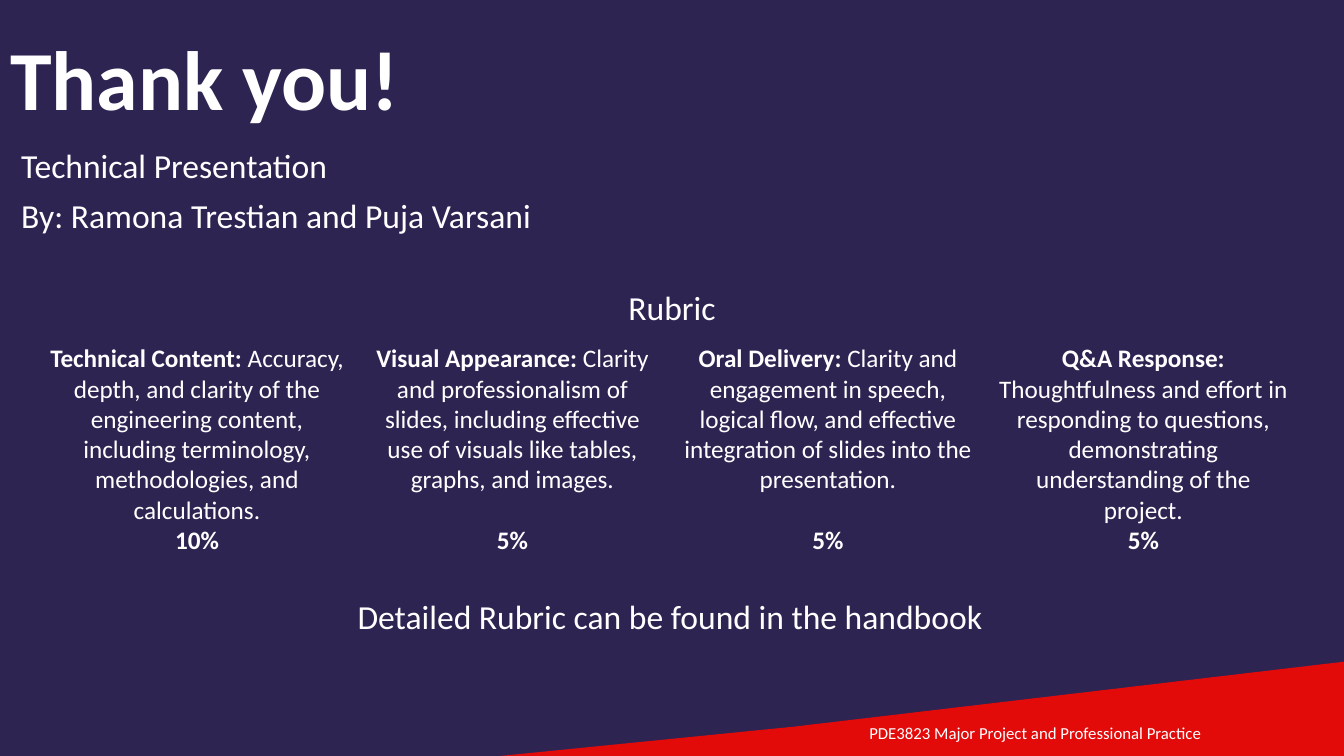
import dataclasses

import pptx
import pptx.dml.color
import pptx.enum.text
import pptx.util

Cm = pptx.util.Cm
Pt = pptx.util.Pt
Align = pptx.enum.text.PP_ALIGN
Anchor = pptx.enum.text.MSO_ANCHOR

COLOURS = {"background": "2E2452", "wedge": "E30A0A", "text": "FFFFFF"}
FONT = "Calibri"
SLIDE_WIDTH, SLIDE_HEIGHT = 33.87, 19.05
COLUMN_LEFT, COLUMN_TOP, COLUMN_WIDTH, COLUMN_HEIGHT = 0.99, 8.51, 7.95, 5.5
LINE_SPACING = {"line_spacing": 0.9, "space_before": Pt(10)}
WEDGE_POINTS = [(20.02, 18.31), (34.16, 16.64), (34.16, 19.2), (11.1, 19.2)]


@dataclasses.dataclass
class Box:
    left: float
    top: float
    width: float
    height: float


@dataclasses.dataclass
class Caption:
    text: str
    box: Box
    size: int
    alignment: Align


@dataclasses.dataclass
class Criterion:
    heading: str
    description: str
    weight: str
    weight_gap: int = 0  # points above the weight, to line the weights up


CAPTIONS = [
    Caption("Rubric", Box(0, 7.21, SLIDE_WIDTH, 1.24), 24, Align.CENTER),
    Caption("Detailed Rubric can be found in the handbook",
            Box(-0.05, 15.01, SLIDE_WIDTH, 1.24), 24, Align.CENTER),
    Caption("PDE3823 Major Project and Professional Practice",
            Box(0, 18.14, 30.53, 0.9), 12, Align.RIGHT),
]

CRITERIA = [
    Criterion("Technical Content: ",
              "Accuracy, depth, and clarity of the engineering content, including "
              "terminology, methodologies, and calculations.", "10%"),
    Criterion("Visual Appearance: ",
              "Clarity and professionalism of slides, including effective use of "
              "visuals like tables, graphs, and images.", "5%", 22),
    Criterion("Oral Delivery: ",
              "Clarity and engagement in speech, logical flow, and effective "
              "integration of slides into the presentation.", "5%", 22),
    Criterion("Q&A Response: ",
              "Thoughtfulness and effort in responding to questions, demonstrating "
              "understanding of the project.", "5%"),
]


def colour(name: str) -> pptx.dml.color.RGBColor:
    return pptx.dml.color.RGBColor.from_string(COLOURS[name])


def apply_format(target, values: dict) -> None:
    for name, value in values.items():
        setattr(target, name, value)


def place(shape, box: Box) -> None:
    apply_format(shape, {name: Cm(value) for name, value in dataclasses.asdict(box).items()})


def prepare_frame(shape, anchor: Anchor = Anchor.TOP):
    frame = shape.text_frame
    apply_format(frame, {"word_wrap": True, "vertical_anchor": anchor,
                         "auto_size": pptx.enum.text.MSO_AUTO_SIZE.NONE})
    return frame


def add_run(paragraph, text: str, size: int, bold: bool = False) -> None:
    run = paragraph.add_run()
    run.text = text
    apply_format(run.font, {"name": FONT, "size": Pt(size), "bold": bold})
    run.font.color.rgb = colour("text")


def add_text_box(slide, box: Box):
    shape = slide.shapes.add_textbox(0, 0, 0, 0)
    place(shape, box)
    return prepare_frame(shape)


def add_wedge(slide) -> None:
    points = [(Cm(x), Cm(y)) for x, y in WEDGE_POINTS]
    builder = slide.shapes.build_freeform(*points[0])
    builder.add_line_segments(points[1:], close=True)
    shape = builder.convert_to_shape()
    shape.shadow.inherit = False
    shape.fill.solid()
    shape.fill.fore_color.rgb = colour("wedge")
    shape.line.fill.background()


def fill_title(slide) -> None:
    title = slide.shapes.title
    place(title, Box(0, 0, 25.4, 3.38))
    paragraph = prepare_frame(title, Anchor.BOTTOM).paragraphs[0]
    apply_format(paragraph, {"alignment": Align.LEFT, "line_spacing": 0.9})
    add_run(paragraph, "Thank you!", 60, bold=True)


def fill_subtitle(slide) -> None:
    subtitle = slide.placeholders[1]
    place(subtitle, Box(0.28, 3.63, 33.2, 3.63))
    frame = prepare_frame(subtitle)
    lines = ["Technical Presentation", "By: Ramona Trestian and Puja Varsani"]
    for index, line in enumerate(lines):
        paragraph = frame.add_paragraph() if index else frame.paragraphs[0]
        apply_format(paragraph, {"alignment": Align.LEFT, **LINE_SPACING})
        add_run(paragraph, line, 24)


def add_criterion(slide, criterion: Criterion, column: int) -> None:
    left = COLUMN_LEFT + column * COLUMN_WIDTH
    frame = add_text_box(slide, Box(left, COLUMN_TOP, COLUMN_WIDTH, COLUMN_HEIGHT))
    paragraph = frame.paragraphs[0]
    paragraph.alignment = Align.CENTER
    add_run(paragraph, criterion.heading, 18, bold=True)
    add_run(paragraph, criterion.description, 18)
    weight = frame.add_paragraph()
    apply_format(weight, {"alignment": Align.CENTER,
                          "space_before": Pt(criterion.weight_gap)})
    add_run(weight, criterion.weight, 18, bold=True)


def add_caption(slide, caption: Caption) -> None:
    paragraph = add_text_box(slide, caption.box).paragraphs[0]
    apply_format(paragraph, {"alignment": caption.alignment, **LINE_SPACING})
    add_run(paragraph, caption.text, caption.size)


def main() -> None:
    presentation = pptx.Presentation()
    apply_format(presentation, {"slide_width": Cm(SLIDE_WIDTH),
                                "slide_height": Cm(SLIDE_HEIGHT)})
    slide = presentation.slides.add_slide(presentation.slide_layouts[0])

    # Background and red wedge
    slide.background.fill.solid()
    slide.background.fill.fore_color.rgb = colour("background")
    add_wedge(slide)

    # Title and authors
    fill_title(slide)
    fill_subtitle(slide)

    # Rubric columns
    for column, criterion in enumerate(CRITERIA):
        add_criterion(slide, criterion, column)

    # Rubric heading, handbook note and footer
    for caption in CAPTIONS:
        add_caption(slide, caption)

    presentation.save("out.pptx")


if __name__ == "__main__":
    main()
